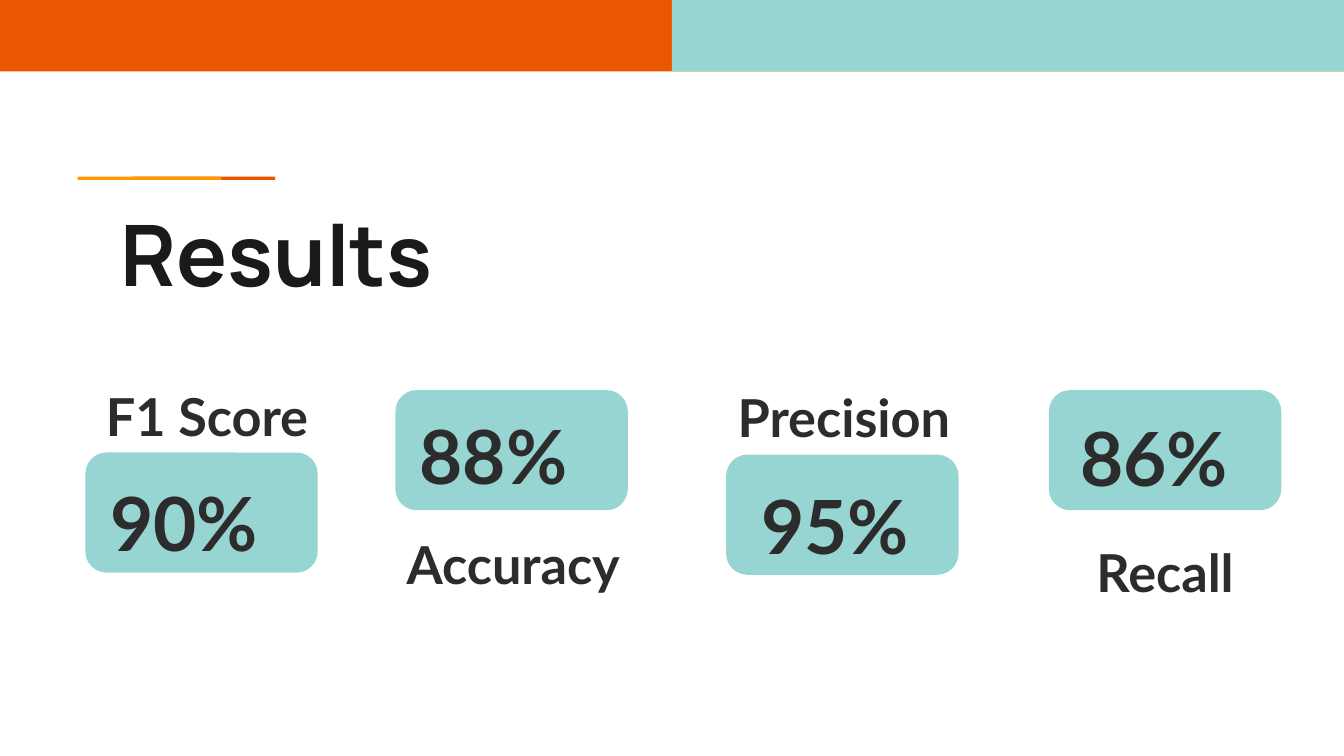
import pptx
import pptx.util
import pptx.dml.color
import pptx.enum.shapes
import pptx.enum.text

Cm, Pt = pptx.util.Cm, pptx.util.Pt
SHAPE = pptx.enum.shapes.MSO_SHAPE
ALIGN = pptx.enum.text.PP_ALIGN

ORANGE, AMBER, TEAL = "EB5600", "FF9900", "96D5D2"
INK, TITLE_INK = "2C2C2C", "1A1A1A"

# Lengths in cm
SLIDE_W, SLIDE_H, BAR_H = 25.4, 14.29, 1.35
CARD_W, CARD_H = 4.32, 2.2
LABEL_W, LABEL_H, VALUE_H = 6.4, 1.45, 1.95

# left, top, width, height, colour
BANDS = [
    (0, 0, SLIDE_W, BAR_H, ORANGE),
    (SLIDE_W / 2, 0, SLIDE_W / 2, BAR_H, TEAL),
    (2.51, 3.34, 2.69, 0.06, ORANGE),
    (1.47, 3.34, 2.71, 0.06, AMBER),
]

# label, its place and alignment; value, its place and alignment; card place
METRICS = [
    ("F1 Score", (1.75, 7.14), ALIGN.LEFT, "90%", (1.83, 8.89), ALIGN.LEFT, (1.65, 8.59)),
    ("Accuracy", (6.5, 9.93), ALIGN.CENTER, "88%", (7.68, 7.62), ALIGN.LEFT, (7.51, 7.41)),
    ("Precision", (12.75, 7.16), ALIGN.CENTER, "95% ", (13.79, 8.94), ALIGN.CENTER, (13.76, 8.63)),
    ("Recall", (18.82, 10.08), ALIGN.CENTER, "86%", (20.17, 7.67), ALIGN.LEFT, (19.86, 7.41)),
]


def rgb(value):
    return pptx.dml.color.RGBColor.from_string(value)


def add_block(s, kind, x, y, w, h, color):
    sp = s.shapes.add_shape(kind, Cm(x), Cm(y), Cm(w), Cm(h))
    sp.shadow.inherit = False
    sp.fill.solid()
    sp.fill.fore_color.rgb = rgb(color)
    sp.line.fill.background()
    return sp


def add_text(s, text, x, y, w, h, size, font="Lato", color=INK, align=ALIGN.LEFT):
    tf = s.shapes.add_textbox(Cm(x), Cm(y), Cm(w), Cm(h)).text_frame
    tf.word_wrap = True
    p = tf.paragraphs[0]
    p.text = text
    p.alignment = align
    p.font.name, p.font.size, p.font.bold = font, Pt(size), True
    p.font.color.rgb = rgb(color)
    return tf


prs = pptx.Presentation()
prs.slide_width, prs.slide_height = Cm(SLIDE_W), Cm(SLIDE_H)
s = prs.slides.add_slide(prs.slide_layouts[6])

for x, y, w, h, color in BANDS:
    add_block(s, SHAPE.RECTANGLE, x, y, w, h, color)

title = add_text(s, "Results", 2.03, 3.66, 21.36, 1.5, 45.4, "Manrope", TITLE_INK)
title.margin_left = title.margin_right = Cm(0.25)
title.margin_top = Cm(0.15)

for label, label_at, label_align, value, value_at, value_align, card_at in METRICS:
    card = add_block(s, SHAPE.ROUNDED_RECTANGLE, *card_at, CARD_W, CARD_H, TEAL)
    card.line.color.rgb = rgb(TEAL)
    card.line.width = Pt(2)
    add_text(s, label, *label_at, LABEL_W, LABEL_H, 28, align=label_align)
    add_text(s, value, *value_at, CARD_W, VALUE_H, 40, align=value_align)

prs.save("out.pptx")
